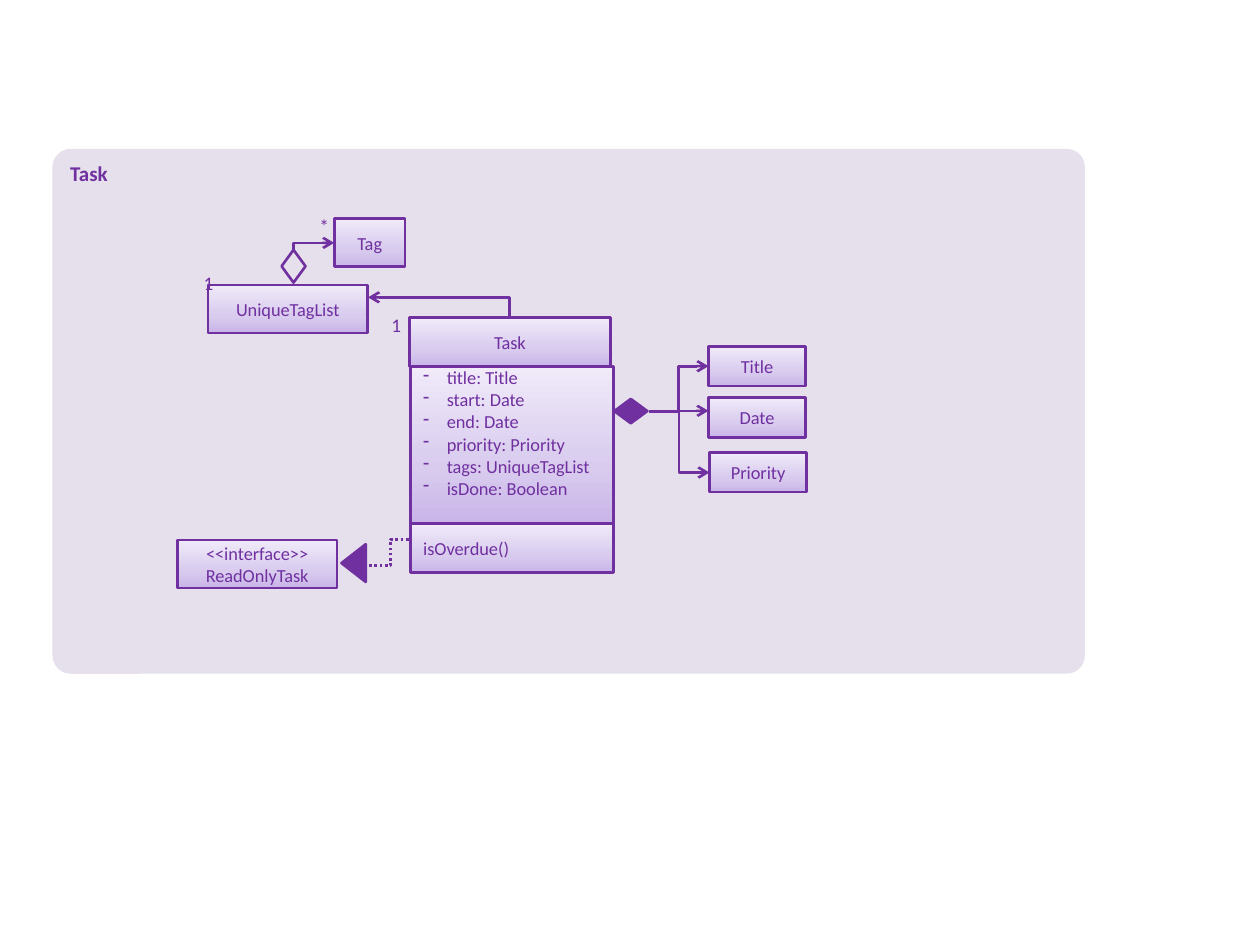
import copy

import pptx
import pptx.dml.color
import pptx.enum.dml
import pptx.enum.shapes
import pptx.enum.text
import pptx.oxml.ns
import pptx.oxml.xmlchemy
import pptx.util

Pt = pptx.util.Pt
SHAPES = pptx.enum.shapes.MSO_SHAPE
ALIGN = pptx.enum.text.PP_ALIGN
ANCHOR = pptx.enum.text.MSO_ANCHOR
qn = pptx.oxml.ns.qn


def color(hex_text):
    """Turn a hex string into a colour."""
    return pptx.dml.color.RGBColor.from_string(hex_text)


def add_element(parent, tag, **attributes):
    """Append an XML element with the given attributes."""
    child = pptx.oxml.xmlchemy.OxmlElement(tag)
    for name, value in attributes.items():
        child.set(name, value)
    parent.append(child)


class Diagram:
    """Class diagram style together with the page it draws on."""

    ink = "7030A0"
    panel_fill = "E6E0EC"
    gradient = [(0, "C9B5E8"), (0.35, "D8CBEE"), (1, "F0EAF9")]
    font = "Calibri"
    line_width = 1.5

    def __init__(self, page):
        """Keep the page to draw on."""
        self.page = page

    def outline(self, line):
        """Give a line the diagram's colour and width."""
        line.color.rgb = color(self.ink)
        line.width = Pt(self.line_width)

    def set_text(self, box, lines, size, align=ALIGN.LEFT, bold=False):
        """Set one paragraph for each line of text."""
        frame = box.text_frame
        frame.word_wrap = True
        for index, line in enumerate(lines):
            para = frame.add_paragraph() if index else frame.paragraphs[0]
            para.text = line
            para.alignment = align
            para.font.name = self.font
            para.font.size = Pt(size)
            para.font.bold = bold
            para.font.color.rgb = color(self.ink)

    def shape(self, kind, left, top, width, height, fill=None, rotation=0):
        """Add an outlined shape, filled with one colour or left open."""
        box = self.page.shapes.add_shape(
            kind, Pt(left), Pt(top), Pt(width), Pt(height))
        box.shadow.inherit = False
        box.rotation = rotation
        if fill:
            box.fill.solid()
            box.fill.fore_color.rgb = color(fill)
        else:
            box.fill.background()
        self.outline(box.line)
        return box

    def panel(self, left, top, width, height, title):
        """Add the rounded background panel with its heading."""
        box = self.shape(SHAPES.ROUNDED_RECTANGLE, left, top, width, height,
                         self.panel_fill)
        box.adjustments[0] = 0.035
        box.line.fill.background()
        box.text_frame.vertical_anchor = ANCHOR.TOP
        self.set_text(box, [title], 12, bold=True)

    def node(self, left, top, width, height, lines, align=ALIGN.CENTER):
        """Add a gradient-filled class box."""
        box = self.shape(SHAPES.RECTANGLE, left, top, width, height)
        box.fill.gradient()
        gradient_fill = box._element.spPr.find(qn("a:gradFill"))
        stop_list = gradient_fill.find(qn("a:gsLst"))
        stop_list.insert(1, copy.deepcopy(stop_list[0]))
        for stop, (position, shade) in zip(box.fill.gradient_stops, self.gradient):
            stop.position = position
            stop.color.rgb = color(shade)
        box.fill.gradient_angle = 90
        box.text_frame.vertical_anchor = ANCHOR.MIDDLE
        self.set_text(box, lines, 10.5, align)
        return box

    def attributes(self, left, top, width, height, lines):
        """Add a class box holding a dashed list."""
        box = self.node(left, top, width, height, lines, ALIGN.LEFT)
        box.text_frame.vertical_anchor = ANCHOR.TOP
        box.text_frame.margin_top = 0
        indent = Pt(13.5)
        for para in box.text_frame.paragraphs:
            properties = para._p.get_or_add_pPr()
            properties.set("marL", str(indent))
            properties.set("indent", str(-indent))
            bullet = pptx.oxml.xmlchemy.OxmlElement("a:buChar")
            bullet.set("char", "-")
            properties.insert(0, bullet)

    def label(self, left, top, text):
        """Add a multiplicity label."""
        box = self.page.shapes.add_textbox(Pt(left), Pt(top), Pt(15), Pt(14.4))
        frame = box.text_frame
        frame.margin_left = frame.margin_right = 0
        frame.margin_top = frame.margin_bottom = 0
        self.set_text(box, [text], 11, ALIGN.CENTER)

    def connector(self, start, end, arrow=None, corner=False, dotted=False):
        """Add an elbow line; a corner line turns only once."""
        link = self.page.shapes.add_connector(
            pptx.enum.shapes.MSO_CONNECTOR.ELBOW,
            *(Pt(value) for value in start + end))
        self.outline(link.line)
        if dotted:
            link.line.dash_style = pptx.enum.dml.MSO_LINE.ROUND_DOT
        properties = link._element.spPr
        if corner:
            properties.find(qn("a:prstGeom")).set("prst", "bentConnector2")
        if arrow:
            add_element(properties.find(qn("a:ln")), arrow, type="arrow")
        add_element(properties, "a:effectLst")


def main():
    """Build the Task class diagram."""
    deck = pptx.Presentation()
    deck.slide_width, deck.slide_height = Pt(720), Pt(540)
    diagram = Diagram(deck.slides.add_slide(deck.slide_layouts[6]))
    ink = diagram.ink

    diagram.panel(30, 85, 590, 300, "Task")

    # Tag list and interface
    diagram.connector((211, 323.3), (235.2, 308.2), dotted=True)
    diagram.shape(SHAPES.ISOSCELES_TRIANGLE, 191.3, 314.8, 21.6, 13.9, ink, 270)
    diagram.node(118.8, 162.9, 91.4, 27.4, ["UniqueTagList"])
    diagram.node(101.3, 308.6, 91.4, 27.4, ["<<interface>>\vReadOnlyTask"])
    diagram.shape(SHAPES.FLOWCHART_DECISION, 158.4, 145.3, 18.7, 13.7, rotation=270)
    diagram.connector((191, 138.8), (167.8, 142.6), "a:headEnd", corner=True)
    diagram.connector((210.4, 169.9), (291.2, 181.6), "a:headEnd", corner=True)
    diagram.node(191, 125, 40.6, 27.4, ["Tag"])

    # Value classes
    diagram.shape(SHAPES.FLOWCHART_DECISION, 351, 228, 18.9, 13.9, ink)
    for name, left, top, tip in (("Title", 404.8, 198, 209.3),
                                 ("Date", 404.8, 227.3, 234.8),
                                 ("Priority", 405.4, 258.5, 270)):
        diagram.connector((370.8, 235.1), (left, tip), "a:tailEnd")
        diagram.node(left, top, 55.6, 22.6, [name])

    # Task class
    diagram.node(233.9, 181.6, 115, 27.9, ["Task"])
    diagram.attributes(234.7, 209.5, 115.8, 89.4, [
        "title: Title", "start: Date", "end: Date", "priority: Priority",
        "tags: UniqueTagList", "isDone: Boolean"])
    diagram.node(234.7, 299.3, 115.8, 27.9, ["isOverdue()"], ALIGN.LEFT)

    for left, top, text in ((111.6, 154.8, "1"), (219, 179, "1"),
                            (177.8, 122.4, "*")):
        diagram.label(left, top, text)

    deck.save("out.pptx")


main()
